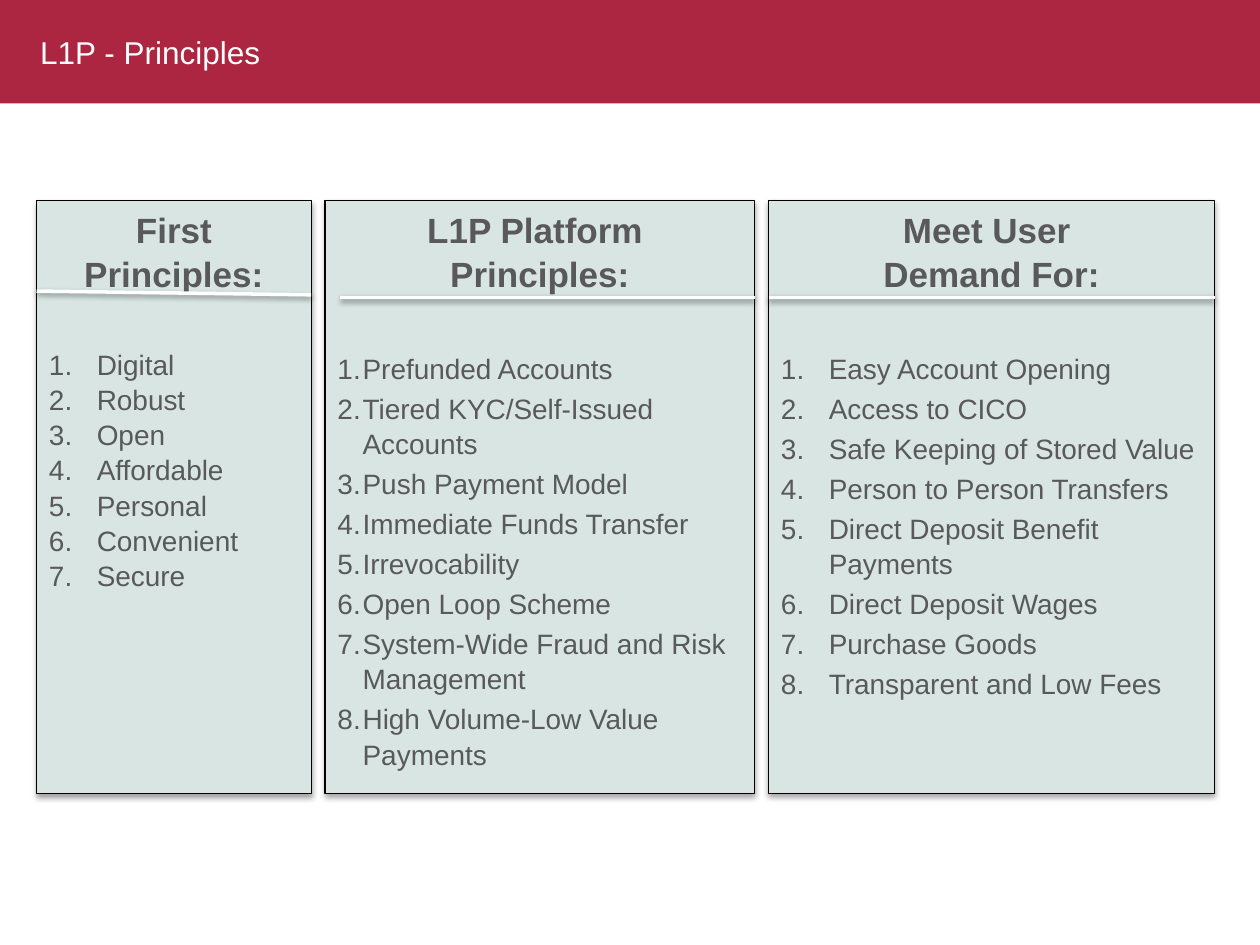
from dataclasses import dataclass

from lxml import etree
from pptx import Presentation
from pptx.dml.color import RGBColor
from pptx.enum.shapes import MSO_CONNECTOR, MSO_SHAPE
from pptx.enum.text import MSO_ANCHOR, PP_ALIGN
from pptx.oxml.ns import qn
from pptx.slide import Slide
from pptx.util import Inches, Pt

RECTANGLE = MSO_SHAPE.RECTANGLE
STRAIGHT = MSO_CONNECTOR.STRAIGHT
MIDDLE, TOP = MSO_ANCHOR.MIDDLE, MSO_ANCHOR.TOP
LEFT, CENTER = PP_ALIGN.LEFT, PP_ALIGN.CENTER

CRIMSON = RGBColor(0xAC, 0x26, 0x41)
PALE_GREEN = RGBColor(0xD8, 0xE5, 0xE3)
GRAY = RGBColor(0x59, 0x59, 0x59)
WHITE = RGBColor(0xFF, 0xFF, 0xFF)
BLACK = RGBColor(0x00, 0x00, 0x00)

FONT = "Arial"
PANEL_TOP, PANEL_HEIGHT = 1.59, 4.71
LINE_SPACING = 1.05
HEADING_GAP = 29


@dataclass(frozen=True)
class Panel:
    left: float
    width: float
    heading: tuple[str, ...]
    items: tuple[str, ...]
    indent: float = 0.38
    item_gap: float = 2.7
    rule_inset: float = 0
    rule_start: float = 2.36
    rule_end: float = 2.36


PANELS = (
    Panel(
        0.29, 2.18, ("First Principles:",),
        ("Digital", "Robust", "Open", "Affordable", "Personal", "Convenient", "Secure"),
        item_gap=0, rule_start=2.31, rule_end=2.34,
    ),
    Panel(
        2.58, 3.41, ("L1P Platform ", "Principles:"),
        (
            "Prefunded Accounts",
            "Tiered KYC/Self-Issued Accounts",
            "Push Payment Model",
            "Immediate Funds Transfer",
            "Irrevocability",
            "Open Loop Scheme",
            "System-Wide Fraud and Risk Management",
            "High Volume-Low Value Payments",
        ),
        indent=0.2, rule_inset=0.12,
    ),
    Panel(
        6.1, 3.54, ("Meet User ", "Demand For:"),
        (
            "Easy Account Opening",
            "Access to CICO",
            "Safe Keeping of Stored Value",
            "Person to Person Transfers",
            "Direct Deposit Benefit Payments",
            "Direct Deposit Wages",
            "Purchase Goods",
            "Transparent and Low Fees",
        ),
    ),
)


def add_shadow(shape, opacity: int, distance: float) -> None:
    effects = etree.SubElement(shape._element.spPr, qn("a:effectLst"))
    shadow = etree.SubElement(
        effects, qn("a:outerShdw"), blurRad=str(Pt(3.1)), dist=str(Pt(distance)),
        dir="5400000", rotWithShape="0",
    )
    color = etree.SubElement(shadow, qn("a:srgbClr"), val=str(BLACK))
    etree.SubElement(color, qn("a:alpha"), val=str(opacity * 1000))


def set_font(para, size: int, color: RGBColor, bold: bool = False) -> None:
    para.font.name = FONT
    para.font.size = Pt(size)
    para.font.bold = bold
    para.font.color.rgb = color


def number_paragraph(para, indent: float) -> None:
    properties = para._p.get_or_add_pPr()
    properties.set("marL", str(Inches(indent)))
    properties.set("indent", str(-Inches(indent)))
    etree.SubElement(properties, qn("a:buFont"), typeface=FONT)
    etree.SubElement(properties, qn("a:buAutoNum"), type="arabicPeriod")


def draw_title(page: Slide, title: str) -> None:
    banner = page.shapes.add_shape(RECTANGLE, 0, 0, Inches(10), Inches(0.82))
    banner.shadow.inherit = False
    banner.fill.solid()
    banner.fill.fore_color.rgb = CRIMSON
    banner.line.fill.background()

    box = page.shapes.add_textbox(Inches(0.22), Inches(0.26), Inches(7.19), Inches(0.3))
    frame = box.text_frame
    frame.word_wrap = True
    frame.vertical_anchor = MIDDLE
    frame.margin_top = frame.margin_bottom = 0
    para = frame.paragraphs[0]
    para.text = title
    set_font(para, 18, WHITE)


def draw_panel(page: Slide, panel: Panel) -> None:
    box = page.shapes.add_shape(
        RECTANGLE, Inches(panel.left), Inches(PANEL_TOP),
        Inches(panel.width), Inches(PANEL_HEIGHT),
    )
    box.fill.solid()
    box.fill.fore_color.rgb = PALE_GREEN
    box.line.color.rgb = BLACK
    box.line.width = Pt(0.75)
    add_shadow(box, 35, 1.8)

    frame = box.text_frame
    frame.word_wrap = True
    frame.vertical_anchor = TOP
    frame.text = "\n".join(panel.heading + panel.items)
    heading_count = len(panel.heading)
    for para in frame.paragraphs[:heading_count]:
        para.alignment = CENTER
        para.line_spacing = LINE_SPACING
        set_font(para, 20, GRAY, bold=True)
    frame.paragraphs[heading_count - 1].space_after = Pt(HEADING_GAP + panel.item_gap)
    for para in frame.paragraphs[heading_count:]:
        number_paragraph(para, panel.indent)
        para.alignment = LEFT
        para.line_spacing = LINE_SPACING
        para.space_after = Pt(panel.item_gap)
        set_font(para, 16, GRAY)


def draw_rule(page: Slide, panel: Panel) -> None:
    rule = page.shapes.add_connector(
        STRAIGHT, Inches(panel.left + panel.rule_inset), Inches(panel.rule_start),
        Inches(panel.left + panel.width), Inches(panel.rule_end),
    )
    rule.line.color.rgb = WHITE
    rule.line.width = Pt(2)
    add_shadow(rule, 38, 1.6)


def main() -> None:
    deck = Presentation()
    deck.slide_width, deck.slide_height = Inches(10), Inches(7.5)
    page = deck.slides.add_slide(deck.slide_layouts[6])
    draw_title(page, "L1P - Principles")
    for panel in PANELS:
        draw_panel(page, panel)
        draw_rule(page, panel)
    deck.save("out.pptx")


if __name__ == "__main__":
    main()
